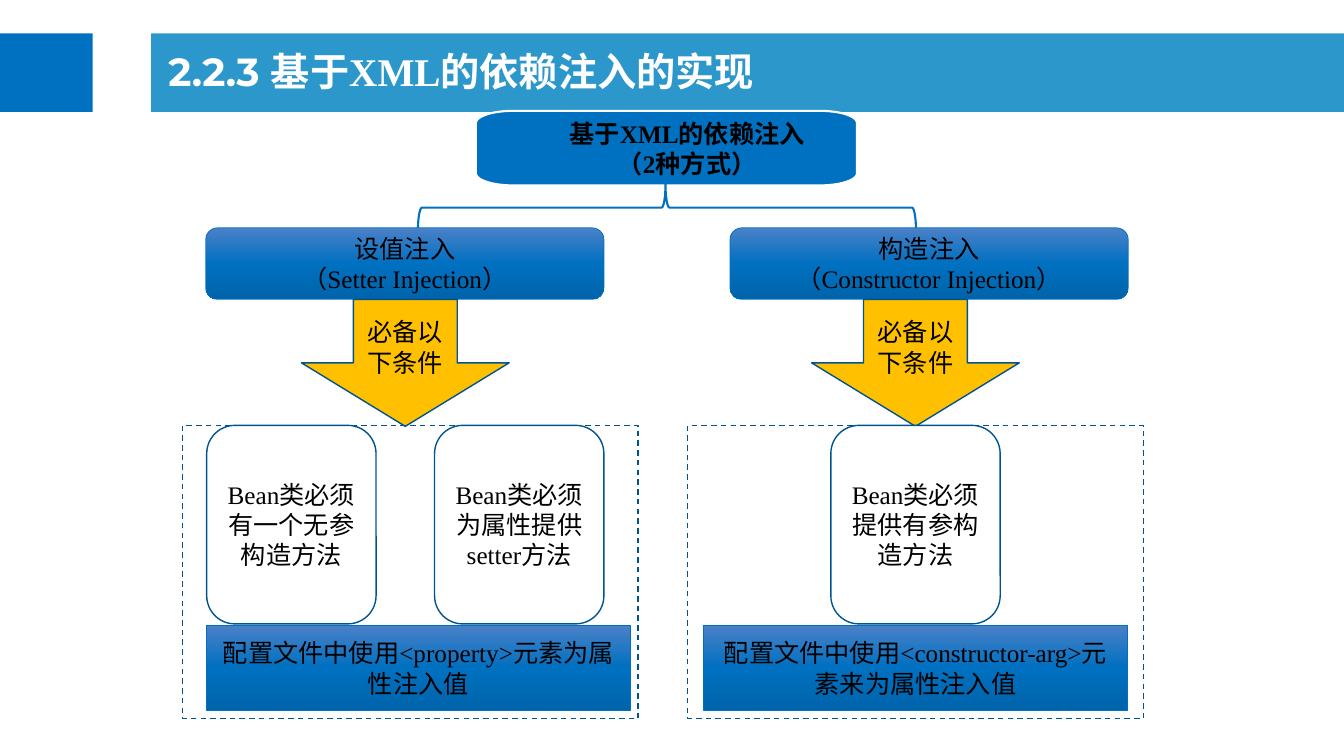
from copy import deepcopy
from math import cos, pi, sin

from pptx import Presentation
from pptx.dml.color import RGBColor
from pptx.enum.dml import MSO_LINE
from pptx.enum.shapes import MSO_SHAPE
from pptx.enum.text import MSO_ANCHOR, MSO_AUTO_SIZE, PP_ALIGN
from pptx.oxml.ns import qn
from pptx.util import Inches, Pt

# Content
TITLE = [("2.2.3 ", "Montserrat"), ("基于XML的依赖注入的实现", "Times New Roman")]
ROOT = ["基于XML的依赖注入", "（2种方式）"]
CONDITION = "必备以下条件"
BRANCHES = [
    {"head": ["设值注入", "（Setter Injection）"],
     "cards": ["Bean类必须有一个无参构造方法", "Bean类必须为属性提供setter方法"],
     "config": "配置文件中使用<property>元素为属性注入值"},
    {"head": ["构造注入", "（Constructor Injection）"],
     "cards": ["Bean类必须提供有参构造方法"],
     "config": "配置文件中使用<constructor-arg>元素来为属性注入值"},
]

# Columns of each branch (left edges) and shared widths, in inches
COLUMNS = [
    {"head": 2.04, "arrow": 2.99, "frame": 1.81, "cards": 2.05, "config": 2.05},
    {"head": 7.24, "arrow": 8.05, "frame": 6.82, "cards": 8.24, "config": 6.98},
]
WIDTHS = {"head": 3.95, "arrow": 2.06, "frame": 4.52, "cards": 1.68, "config": 4.2}
CARD_STEP = 2.26
# Rows: top, height
ROWS = {"bar": (0.33, 0.78), "root": (1.1, 0.74), "head": (2.26, 0.71),
        "arrow": (2.97, 1.26), "frame": (4.22, 2.91), "cards": (4.22, 1.97),
        "config": (6.2, 0.85)}

BLUE = RGBColor(0x00, 0x70, 0xC0)
SKY = RGBColor(0x2C, 0x97, 0xCB)
NAVY = RGBColor(0x00, 0x53, 0x8E)
GOLD = RGBColor(0xFF, 0xC0, 0x00)
WHITE = RGBColor(0xFF, 0xFF, 0xFF)
BLACK = RGBColor(0x00, 0x00, 0x00)
GRADIENT = [(0, RGBColor(0x4B, 0x81, 0xC8)), (0.5, BLUE),
            (1, RGBColor(0x00, 0x64, 0xAB))]

prs = Presentation()
prs.slide_width, prs.slide_height = Inches(13.33), Inches(7.5)
s = prs.slides.add_slide(prs.slide_layouts[5])


def add_run(p, text, font="Times New Roman", size=18, color=BLACK, bold=False):
    r = p.add_run()
    r.text = text
    r.font.name, r.font.size, r.font.bold = font, Pt(size), bold
    r.font.color.rgb = color


def write(sp, lines, bold=False):
    tf = sp.text_frame
    tf.word_wrap = True
    tf.vertical_anchor = MSO_ANCHOR.MIDDLE
    for i, line in enumerate(lines):
        p = tf.add_paragraph() if i else tf.paragraphs[0]
        p.alignment = PP_ALIGN.CENTER
        add_run(p, line, bold=bold)


def style(sp, fill=None, line=None, width=1):
    sp.shadow.inherit = False
    if fill is GRADIENT:
        sp.fill.gradient()
        sp.fill.gradient_angle = 270
        stops = sp.element.spPr.find(".//" + qn("a:gsLst"))
        stops.insert(1, deepcopy(stops[0]))
        for stop, (position, color) in zip(sp.fill.gradient_stops, GRADIENT):
            stop.position = position
            stop.color.rgb = color
    elif fill is not None:
        sp.fill.solid()
        sp.fill.fore_color.rgb = fill
    else:
        sp.fill.background()
    if line is not None:
        sp.line.color.rgb = line
        sp.line.width = Pt(width)
    else:
        sp.line.fill.background()


def add_box(kind, left, width, row, fill, line=None, weight=1, lines=()):
    top, height = ROWS[row]
    sp = s.shapes.add_shape(kind, Inches(left), Inches(top),
                            Inches(width), Inches(height))
    style(sp, fill, line, weight)
    write(sp, lines)
    return sp


# Title band
add_box(MSO_SHAPE.RECTANGLE, 1.5, 11.83, "bar", SKY)
add_box(MSO_SHAPE.RECTANGLE, 0, 0.92, "bar", BLUE)
title = s.shapes.title
title.left, title.top = Inches(1.57), Inches(0.39)
title.width, title.height = Inches(11.5), Inches(0.69)
tf = title.text_frame
tf.word_wrap = True
tf.auto_size = MSO_AUTO_SIZE.NONE
tf.vertical_anchor = MSO_ANCHOR.MIDDLE
p = tf.paragraphs[0]
p.alignment, p.line_spacing = PP_ALIGN.LEFT, 0.9
for text, font in TITLE:
    add_run(p, text, font, 28, WHITE, True)
title.element.getparent().append(title.element)

# Root box with elliptical corners
left, width, rx, ry = 4.72, 3.78, 0.37, 0.12
top, height = ROWS["root"]
centres = [(left + width - rx, top + height - ry), (left + rx, top + height - ry),
           (left + rx, top + ry), (left + width - rx, top + ry)]
STEPS = 12
points = []
for corner, (cx, cy) in enumerate(centres):
    for i in range(STEPS + 1):
        angle = (corner + i / STEPS) * pi / 2
        points.append((Inches(cx + rx * cos(angle)), Inches(cy + ry * sin(angle))))
fb = s.shapes.build_freeform(*points[0])
fb.add_line_segments(points[1:], close=True)
style(fb.convert_to_shape(), BLUE, WHITE, 1.5)
label = s.shapes.add_textbox(Inches(4.9), Inches(1.12), Inches(3.83), Inches(0.71))
write(label, ROOT, bold=True)

# Brace from the root to both branches
brace = s.shapes.add_shape(MSO_SHAPE.LEFT_BRACE, Inches(6.38), Inches(-0.41),
                           Inches(0.47), Inches(4.94))
brace.rotation = 90
brace.adjustments[0], brace.adjustments[1] = 0.083, 0.503
style(brace, line=BLUE, width=1.5)

# Branches
for branch, col in zip(BRANCHES, COLUMNS):
    frame = add_box(MSO_SHAPE.RECTANGLE, col["frame"], WIDTHS["frame"], "frame",
                    WHITE, NAVY)
    frame.line.dash_style = MSO_LINE.DASH
    add_box(MSO_SHAPE.ROUNDED_RECTANGLE, col["head"], WIDTHS["head"], "head",
            GRADIENT, BLUE, 0.5, branch["head"])
    add_box(MSO_SHAPE.DOWN_ARROW, col["arrow"], WIDTHS["arrow"], "arrow",
            GOLD, NAVY, 1, [CONDITION])
    for i, card in enumerate(branch["cards"]):
        add_box(MSO_SHAPE.ROUNDED_RECTANGLE, col["cards"] + i * CARD_STEP,
                WIDTHS["cards"], "cards", WHITE, NAVY, 1, [card])
    add_box(MSO_SHAPE.RECTANGLE, col["config"], WIDTHS["config"], "config",
            GRADIENT, BLUE, 0.5, [branch["config"]])

prs.save("out.pptx")
